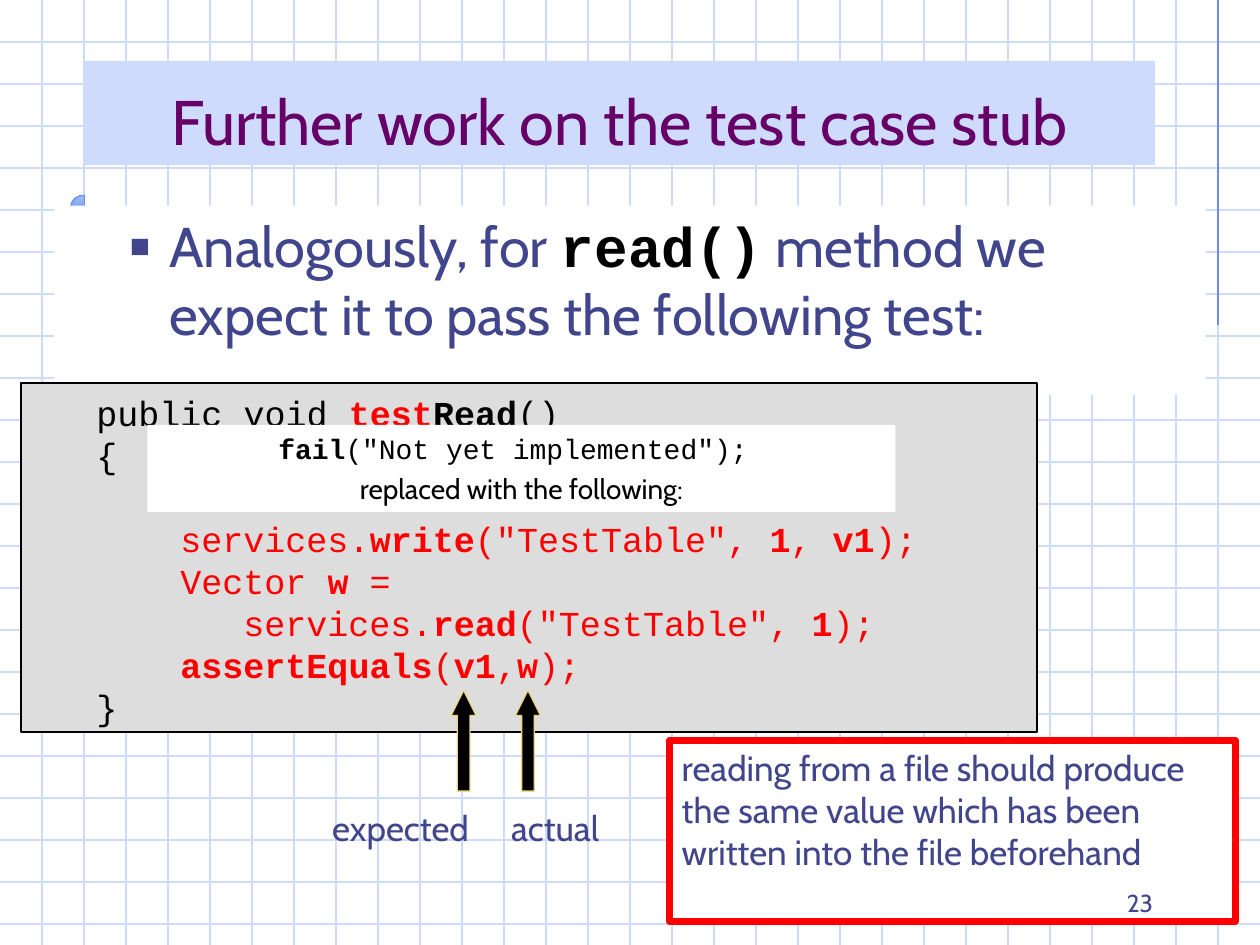
from lxml.etree import SubElement
from pptx import Presentation
from pptx.dml.color import RGBColor
from pptx.enum.shapes import MSO_CONNECTOR as CONNECTOR, MSO_SHAPE as SHAPE
from pptx.enum.text import MSO_ANCHOR as ANCHOR, MSO_AUTO_SIZE as AUTO_SIZE, PP_ALIGN as ALIGN
from pptx.oxml.ns import qn
from pptx.util import Pt

WIDTH, HEIGHT, GRID_STEP = 720, 540, 24
SANS, MONO = "Cabin", "Courier New"
BLACK, WHITE, RED = "000000", "FFFFFF", "FF0000"
INDIGO, PURPLE, GREY = "40458C", "660066", "DDDDDD"
PALE_BLUE, RULE_BLUE, GOLD = "CFDBFD", "6F89F7", "ECD882"


def colour(hex_string):
    return RGBColor.from_string(hex_string)


def set_font(font, size, name, hex_string, bold=False):
    font.size, font.name, font.bold = Pt(size), name, bold
    font.color.rgb = colour(hex_string)


def paint(shape, fill, line=None, line_width=0.75):
    shape.fill.solid()
    shape.fill.fore_color.rgb = colour(fill)
    if line:
        shape.line.color.rgb = colour(line)
        shape.line.width = Pt(line_width)
    else:
        shape.line.fill.background()


def add_block(slide, kind, box, fill, line=None, line_width=0.75):
    shape = slide.shapes.add_shape(kind, *map(Pt, box))
    shape.shadow.inherit = False
    paint(shape, fill, line, line_width)
    frame = shape.text_frame
    frame.word_wrap = True
    frame.vertical_anchor = ANCHOR.TOP
    return shape


def place(placeholder, box, fill, anchor):
    placeholder.left, placeholder.top, placeholder.width, placeholder.height = map(Pt, box)
    paint(placeholder, fill)
    frame = placeholder.text_frame
    frame.auto_size, frame.vertical_anchor = AUTO_SIZE.NONE, anchor
    return frame.paragraphs[0]


def write(paragraph, text, size, hex_string, align=ALIGN.LEFT):
    paragraph.text = text
    paragraph.alignment = align
    set_font(paragraph.font, size, SANS, hex_string)


def marked(text, hex_string):
    """Split text into (text, colour, bold) runs; asterisks enclose bold parts."""
    parts = enumerate(text.split("*"))
    return [(part, hex_string, index % 2 == 1) for index, part in parts if part]


def add_runs(paragraph, runs, size, name):
    for text, hex_string, bold in runs:
        run = paragraph.add_run()
        run.text = text
        set_font(run.font, size, name, hex_string, bold)


def add_rule(shapes, start, end, hex_string):
    rule = shapes.add_connector(CONNECTOR.STRAIGHT, *map(Pt, start + end))
    rule.line.color.rgb = colour(hex_string)
    rule.line.width = Pt(0.75)
    SubElement(rule._element.spPr, qn("a:effectLst"))


def add_background(slide):
    """Draw the squared paper and its margin rules behind the placeholders."""
    group = slide.shapes.add_group_shape()
    for y in range(GRID_STEP, HEIGHT, GRID_STEP):
        add_rule(group.shapes, (0, y), (WIDTH, y), PALE_BLUE)
    for x in range(GRID_STEP, WIDTH, GRID_STEP):
        add_rule(group.shapes, (x, 0), (x, HEIGHT), PALE_BLUE)
    add_rule(group.shapes, (696, 0), (696, 186), RULE_BLUE)
    add_rule(group.shapes, (48, 111.6), (48, 294.5), RULE_BLUE)
    ring = group.shapes.add_shape(SHAPE.ARC, Pt(40.3), Pt(111.6), Pt(15), Pt(15))
    ring.adjustments[0], ring.adjustments[1] = 0, 162
    ring.shadow.inherit = False
    ring.line.color.rgb = colour(RULE_BLUE)
    ring.line.width = Pt(0.75)
    slide.shapes._spTree.insert(2, group._element)


def set_indent(paragraph, left, first=0):
    properties = paragraph._p.get_or_add_pPr()
    properties.set("marL", str(Pt(left)))
    properties.set("indent", str(Pt(first)))
    return properties


def set_square_bullet(paragraph):
    properties = set_indent(paragraph, 58.5, -22.5)
    bullet_colour = SubElement(properties, qn("a:buClr"))
    SubElement(bullet_colour, qn("a:srgbClr"), val=INDIGO)
    SubElement(properties, qn("a:buSzPct"), val="60000")
    SubElement(properties, qn("a:buFont"), typeface="Arial")
    SubElement(properties, qn("a:buChar"), char="■")


def fill_body(body):
    paragraph = place(body, (31, 117.5, 658, 108), WHITE, ANCHOR.TOP)
    paragraph.space_before = Pt(8)
    set_square_bullet(paragraph)
    add_runs(paragraph, marked("Analogously, for ", INDIGO), 32, SANS)
    add_runs(paragraph, marked("*read()*", BLACK), 32, MONO)
    add_runs(paragraph, marked(" method we expect it to pass the following test:", INDIGO), 32, SANS)


def add_code(slide):
    shape = add_block(slide, SHAPE.RECTANGLE, (12, 219, 580.5, 199.5), GREY, BLACK, 1)
    frame = shape.text_frame
    frame.margin_top = Pt(4.5)
    header = marked("public void ", BLACK) + marked("*test*", RED) + marked("*Read*()", BLACK)
    # Left indent, space before, runs
    lines = [
        (36, 0, header),
        (36, 0, marked("{", BLACK)),
        (84, 24, marked('services.*write*("TestTable", *1*, *v1*);', RED)),
        (84, 0, marked("Vector *w* =", RED)),
        (120, 0, marked('services.*read*("TestTable", *1*);', RED)),
        (84, 0, marked("*assertEquals*(*v1*,*w*);", RED)),
        (36, 0, marked("}", BLACK)),
    ]
    for index, (indent, gap, runs) in enumerate(lines):
        paragraph = frame.add_paragraph() if index else frame.paragraphs[0]
        paragraph.alignment = ALIGN.LEFT
        paragraph.line_spacing, paragraph.space_before = Pt(24), Pt(gap)
        set_indent(paragraph, indent)
        add_runs(paragraph, runs, 20, MONO)


def add_replacement_note(slide):
    shape = add_block(slide, SHAPE.RECTANGLE, (84.25, 242.75, 427.5, 49.75), WHITE)
    call = shape.text_frame.paragraphs[0]
    add_runs(call, marked('*fail*("Not yet implemented"); ', BLACK), 16, MONO)
    note = shape.text_frame.add_paragraph()
    write(note, "replaced with the following:", 16, BLACK, ALIGN.CENTER)
    call.alignment = ALIGN.CENTER
    call.space_before = note.space_before = Pt(4)


def add_label(slide, text, box, size=20, align=ALIGN.LEFT, anchor=ANCHOR.TOP):
    frame = slide.shapes.add_textbox(*map(Pt, box)).text_frame
    frame.word_wrap, frame.vertical_anchor = False, anchor
    write(frame.paragraphs[0], text, size, INDIGO, align)


def add_arrow(slide, left):
    arrow = add_block(slide, SHAPE.UP_ARROW, (left, 394.5, 14.4, 57.6), BLACK, GOLD)
    arrow.adjustments[0], arrow.adjustments[1] = 0.5, 1


def main():
    presentation = Presentation()
    presentation.slide_width, presentation.slide_height = Pt(WIDTH), Pt(HEIGHT)
    slide = presentation.slides.add_slide(presentation.slide_layouts[1])
    add_background(slide)

    title = place(slide.shapes.title, (48, 34.75, 612, 59.5), PALE_BLUE, ANCHOR.BOTTOM)
    write(title, "Further work on the test case stub", 36, PURPLE, ALIGN.CENTER)
    fill_body(slide.placeholders[1])
    add_code(slide)

    remark = add_block(slide, SHAPE.RECTANGLE, (382.5, 423, 323.5, 103.5), WHITE, RED, 4)
    write(remark.text_frame.paragraphs[0],
          "reading from a file should produce the same value which has been "
          "written into the file beforehand", 20, INDIGO)

    add_label(slide, "expected", (182.75, 457.25, 100, 31.5))
    add_label(slide, "actual", (285, 457.25, 71.5, 31.5))
    for left in (257.75, 294.5):
        add_arrow(slide, left)
    add_replacement_note(slide)
    add_label(slide, "23", (516, 492, 150, 36), 14, ALIGN.RIGHT, ANCHOR.BOTTOM)
    presentation.save("out.pptx")


if __name__ == "__main__":
    main()
